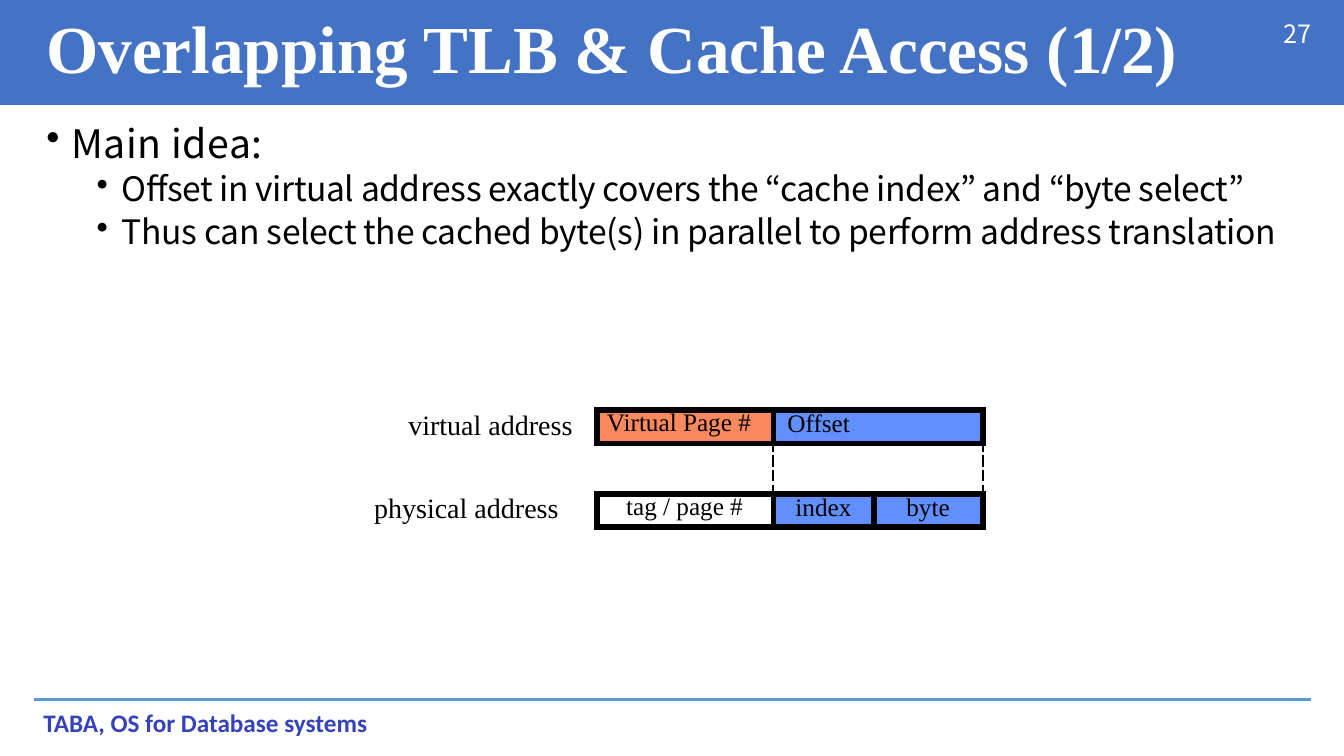
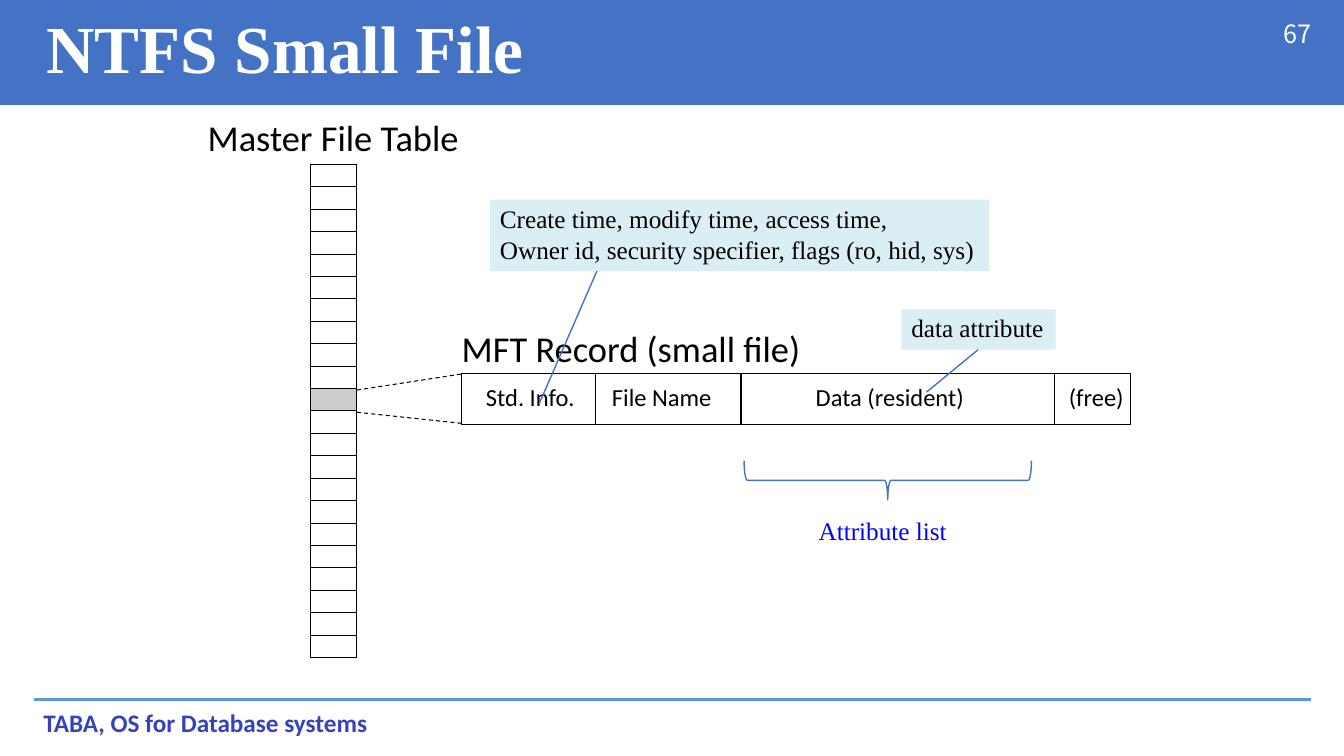
from dataclasses import dataclass
from typing import Optional

from lxml import etree
from pptx import Presentation
from pptx import util as u
from pptx.dml import color
from pptx.enum import dml, shapes, text
from pptx.oxml import ns

COLORS = {
    "band": "4472C4",
    "rule": "5B9BD5",
    "footer": "3542BC",
    "white": "FFFFFF",
    "black": "000000",
    "page": "FC885D",
    "offset": "618FFD",
    "entry": "CCCCCC",
    "callout": "DBEEF4",
    "link": "0000FF",
}
SERIF = "Times New Roman"
SANS = "Calibri"
BODY = "Noto Sans CJK KR"
FOOTER = "TABA, OS for Database systems"


@dataclass(frozen=True)
class Label:
    text: str
    left: float
    top: float
    width: float
    height: float
    size: float
    font: str = SERIF
    color: str = "black"
    bold: bool = False
    inset_left: float = 0
    inset_top: float = 0.01
    fill: Optional[str] = None
    outline: Optional[str] = None


@dataclass(frozen=True)
class Line:
    x1: float
    y1: float
    x2: float
    y2: float
    color: str = "band"
    width: float = 1
    dashed: bool = False


@dataclass(frozen=True)
class Bullet:
    text: str
    level: int
    size: float
    indent: float
    before: float
    tracking: int


@dataclass(frozen=True)
class Border:
    width: float
    dash: str = "solid"


@dataclass(frozen=True)
class Field:
    row: int
    column: int
    text: str
    indent: float
    fill: str
    exact_spacing: Optional[float] = None


def rgb(name: str) -> color.RGBColor:
    return color.RGBColor.from_string(COLORS[name])


def box(left: float, top: float, width: float, height: float) -> tuple:
    return tuple(u.Inches(value) for value in (left, top, width, height))


def style_font(paragraph, font: str, size: float, color_name: str = "black", bold: bool = False) -> None:
    paragraph.font.name = font
    paragraph.font.size = u.Pt(size)
    paragraph.font.bold = bold
    paragraph.font.color.rgb = rgb(color_name)


def set_frame(frame, left: float, top: float) -> None:
    frame.word_wrap = True
    frame.vertical_anchor = text.MSO_ANCHOR.TOP
    frame.margin_left, frame.margin_top = u.Inches(left), u.Inches(top)
    frame.margin_right = frame.margin_bottom = 0


def draw_label(slide, label: Label) -> None:
    area = box(label.left, label.top, label.width, label.height)
    if label.fill or label.outline:
        shape = slide.shapes.add_shape(shapes.MSO_SHAPE.RECTANGLE, *area)
        shape.shadow.inherit = False
        if label.fill:
            shape.fill.solid()
            shape.fill.fore_color.rgb = rgb(label.fill)
        else:
            shape.fill.background()
        if label.outline:
            shape.line.color.rgb = rgb(label.outline)
            shape.line.width = u.Pt(0.75)
        else:
            shape.line.fill.background()
    else:
        shape = slide.shapes.add_textbox(*area)
    set_frame(shape.text_frame, label.inset_left, label.inset_top)
    shape.text_frame.text = label.text
    for paragraph in shape.text_frame.paragraphs:
        paragraph.alignment = text.PP_ALIGN.LEFT
        style_font(paragraph, label.font, label.size, label.color, label.bold)


def draw_line(slide, line: Line) -> None:
    ends = (u.Inches(value) for value in (line.x1, line.y1, line.x2, line.y2))
    connector = slide.shapes.add_connector(shapes.MSO_CONNECTOR.STRAIGHT, *ends)
    connector.line.color.rgb = rgb(line.color)
    connector.line.width = u.Pt(line.width)
    if line.dashed:
        connector.line.dash_style = dml.MSO_LINE.DASH
    etree.SubElement(connector._element.spPr, ns.qn("a:effectLst"))


def draw_bullets(slide, bullets: list[Bullet]) -> None:
    frame = slide.shapes.add_textbox(*box(0.45, 1.17, 12.36, 1.34)).text_frame
    set_frame(frame, 0, 0.01)
    for index, bullet in enumerate(bullets):
        paragraph = frame.add_paragraph() if index else frame.paragraphs[0]
        paragraph.level = bullet.level
        if index:
            paragraph.space_before = u.Pt(bullet.before)
        run = paragraph.add_run()
        run.text = bullet.text
        run._r.get_or_add_rPr().set("spc", str(bullet.tracking))
        properties = paragraph._p.get_or_add_pPr()
        properties.set("marL", str(u.Inches(bullet.indent)))
        properties.set("indent", str(u.Inches(-0.25)))
        etree.SubElement(properties, ns.qn("a:buChar")).set("char", "•")
        style_font(paragraph, BODY, bullet.size)


def set_borders(cell, borders: dict[str, Border]) -> None:
    properties = cell._tc.get_or_add_tcPr()
    for side in "LRTB":
        edge = etree.SubElement(properties, ns.qn(f"a:ln{side}"))
        border = borders.get(side)
        if border is None:
            etree.SubElement(edge, ns.qn("a:noFill"))
            continue
        edge.set("w", str(u.Pt(border.width)))
        fill = etree.SubElement(edge, ns.qn("a:solidFill"))
        etree.SubElement(fill, ns.qn("a:srgbClr")).set("val", COLORS["black"])
        etree.SubElement(edge, ns.qn("a:prstDash")).set("val", border.dash)


def add_grid(slide, left: float, top: float, columns: list[float], rows: list[float]):
    area = box(left, top, sum(columns), sum(rows))
    table = slide.shapes.add_table(len(rows), len(columns), *area).table
    table.first_row = table.horz_banding = False
    for column, width in zip(table.columns, columns):
        column.width = u.Inches(width)
    for row, height in zip(table.rows, rows):
        row.height = u.Inches(height)
    for cell in table.iter_cells():
        cell.margin_left = cell.margin_right = cell.margin_top = cell.margin_bottom = 0
    return table


def fill_cell(cell, color_name: Optional[str]) -> None:
    if color_name:
        cell.fill.solid()
        cell.fill.fore_color.rgb = rgb(color_name)
    else:
        cell.fill.background()


def draw_address_table(slide) -> None:
    table = add_grid(slide, 5.92, 4.07, [1.75, 1, 1.08], [0.33, 0.5, 0.33])
    thick, dashed = Border(4.5), Border(1.5, "sysDash")
    solid = dict.fromkeys("LRTB", thick)
    gap_left = {"T": thick, "B": thick, "R": dashed}
    gap_right = {"T": thick, "B": thick, "L": dashed, "R": dashed}
    for row in (0, 1):
        table.cell(row, 1).merge(table.cell(row, 2))
    fields = {
        (field.row, field.column): field
        for field in (
            Field(0, 0, "Virtual Page #", 0.1, "page", 19.1),
            Field(0, 1, "Offset", 0.14, "offset"),
            Field(2, 0, "tag / page #", 0.29, "white", 19.1),
            Field(2, 1, "index", 0.22, "offset"),
            Field(2, 2, "byte", 0.32, "offset"),
        )
    }
    for row in range(3):
        for column in range(3):
            cell = table.cell(row, column)
            gap = gap_right if column else gap_left
            set_borders(cell, gap if row == 1 else solid)
            field = fields.get((row, column))
            fill_cell(cell, field.fill if field else None)
            if field:
                cell.margin_left = u.Inches(field.indent)
                cell.text_frame.text = field.text
                paragraph = cell.text_frame.paragraphs[0]
                if field.exact_spacing:
                    paragraph.line_spacing = u.Pt(field.exact_spacing)
                style_font(paragraph, SERIF, 18)


def draw_file_table(slide) -> None:
    count, used_row = 22, 10
    table = add_grid(slide, 3.08, 1.63, [0.46], [4.9 / count] * count)
    for row, cell in enumerate(table.iter_cells()):
        set_borders(cell, dict.fromkeys("LRTB", Border(0.75)))
        fill_cell(cell, "entry" if row == used_row else None)
        paragraph = cell.text_frame.paragraphs[0]
        etree.SubElement(paragraph._p, ns.qn("a:endParaRPr")).set("sz", "800")


def add_slide(presentation, title: str, number: int):
    slide = presentation.slides.add_slide(presentation.slide_layouts[6])
    draw_line(slide, Line(0.34, 6.94, 13, 6.94, "rule", 1.5))
    band = slide.shapes.add_shape(shapes.MSO_SHAPE.RECTANGLE, *box(0, 0, 13.33, 1.04))
    band.shadow.inherit = False
    band.fill.solid()
    band.fill.fore_color.rgb = rgb("band")
    band.line.fill.background()
    draw_label(slide, Label(str(number), 12.72, 0.17, 0.4, 0.33, 18, BODY, "white", inset_left=0.01))
    draw_label(slide, Label(title, 0.45, 0.05, 11.73, 0.83, 48, SERIF, "white", True, 0.01))
    draw_label(slide, Label(FOOTER, 0.42, 7.02, 3.4, 0.33, 18, SANS, "footer", True, 0.01, 0))
    return slide


def build_overlap_slide(presentation) -> None:
    slide = add_slide(presentation, "Overlapping TLB & Cache Access (1/2)", 27)
    draw_bullets(slide, [
        Bullet("Main idea:", 0, 28, 0.26, 0, 40),
        Bullet("Offset in virtual address exactly covers the “cache index” and “byte select”", 1, 24, 0.76, 1.4, -32),
        Bullet("Thus can select the cached byte(s) in parallel to perform address translation", 1, 24, 0.76, 2.1, -26),
    ])
    draw_address_table(slide)
    draw_label(slide, Label("virtual address", 4.05, 4.03, 1.8, 0.33, 20))
    draw_label(slide, Label("physical address", 3.71, 4.86, 1.98, 0.33, 20))


def build_small_file_slide(presentation) -> None:
    slide = add_slide(presentation, "NTFS Small File", 67)
    left = 4.58
    for name, width, indent in (
        ("Std. Info.", 1.33, 0.24),
        ("File Name", 1.44, 0.16),
        ("Data (resident)", 3.11, 0.74),
        ("(free)", 0.75, 0.14),
    ):
        draw_label(slide, Label(name, left, 3.71, width, 0.5, 17.5, SANS, inset_left=indent,
                                inset_top=0.08, outline="black"))
        left += width
    draw_label(slide, Label("MFT Record (small file)", 4.57, 3.22, 3.6, 0.47, 26, SANS,
                            inset_left=0.01, inset_top=0.02))
    draw_file_table(slide)
    draw_label(slide, Label("Master File Table", 2.05, 1.12, 2.7, 0.47, 26, SANS,
                            inset_left=0.01, inset_top=0.02))
    draw_line(slide, Line(3.54, 3.87, 4.58, 3.71, "black", 0.75, True))
    draw_line(slide, Line(3.54, 4.09, 4.58, 4.2, "black", 0.75, True))
    details = "Create time, modify time, access time,\nOwner id, security specifier, flags (ro, hid, sys)"
    draw_label(slide, Label(details, 4.86, 1.98, 4.95, 0.71, 18, inset_left=0.1, inset_top=0.04, fill="callout"))
    draw_line(slide, Line(5.35, 4, 5.92, 2.69))
    draw_label(slide, Label("data attribute", 8.94, 3.07, 1.53, 0.4, 18, inset_left=0.1,
                            inset_top=0.03, fill="callout"))
    brace = slide.shapes.add_shape(shapes.MSO_SHAPE.LEFT_BRACE, *box(8.61, 3.34, 0.39, 2.85))
    brace.rotation = 270
    brace.shadow.inherit = False
    brace.fill.background()
    brace.line.color.rgb = rgb("band")
    brace.line.width = u.Pt(1)
    draw_line(slide, Line(9.7, 3.47, 9.19, 3.89))
    draw_label(slide, Label("Attribute list", 8.11, 5.1, 1.4, 0.33, 18, color="link", inset_left=0.01))


def main() -> None:
    presentation = Presentation()
    presentation.slide_width, presentation.slide_height = u.Inches(13.33), u.Inches(7.5)
    build_overlap_slide(presentation)
    build_small_file_slide(presentation)
    presentation.save("out.pptx")


if __name__ == "__main__":
    main()
